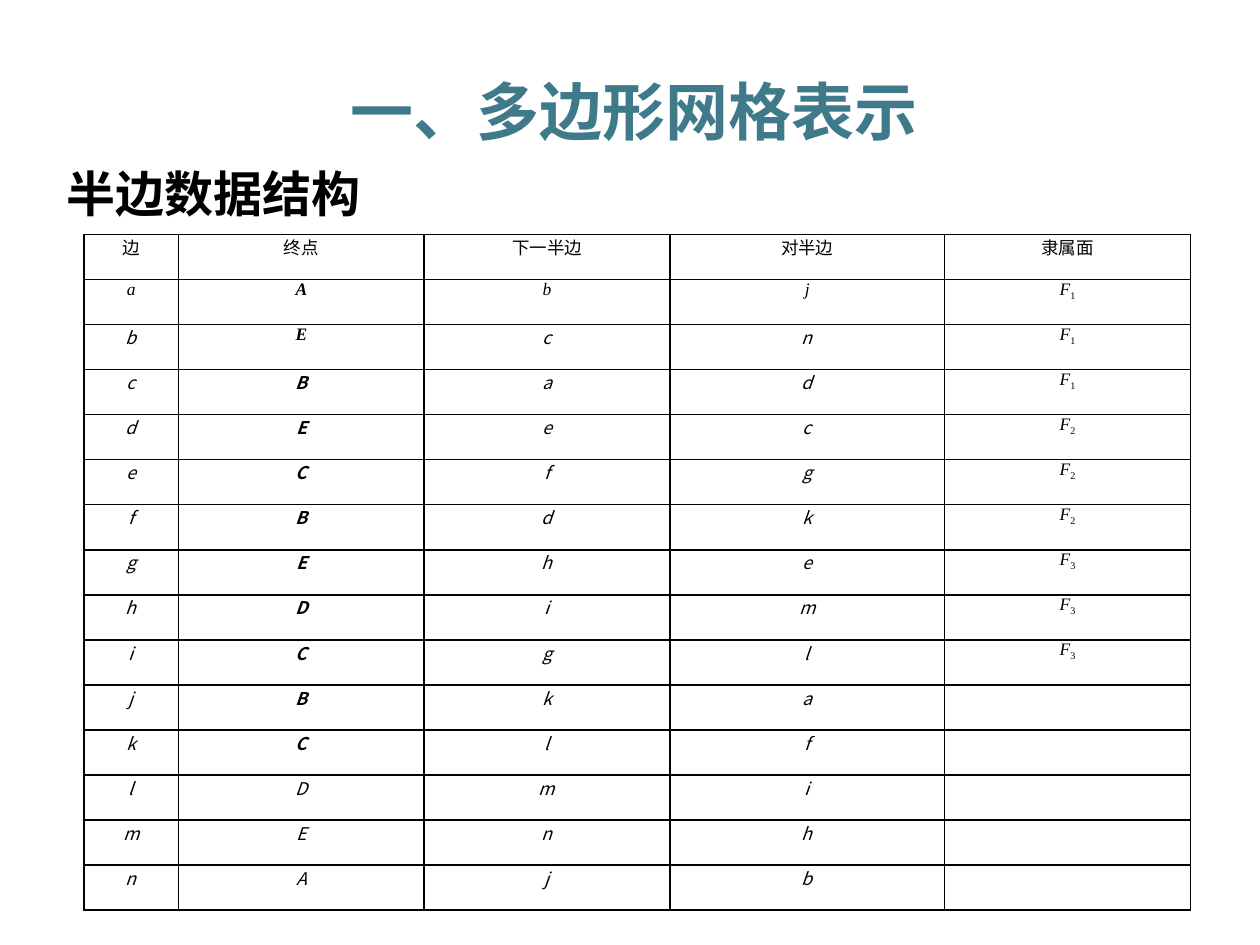
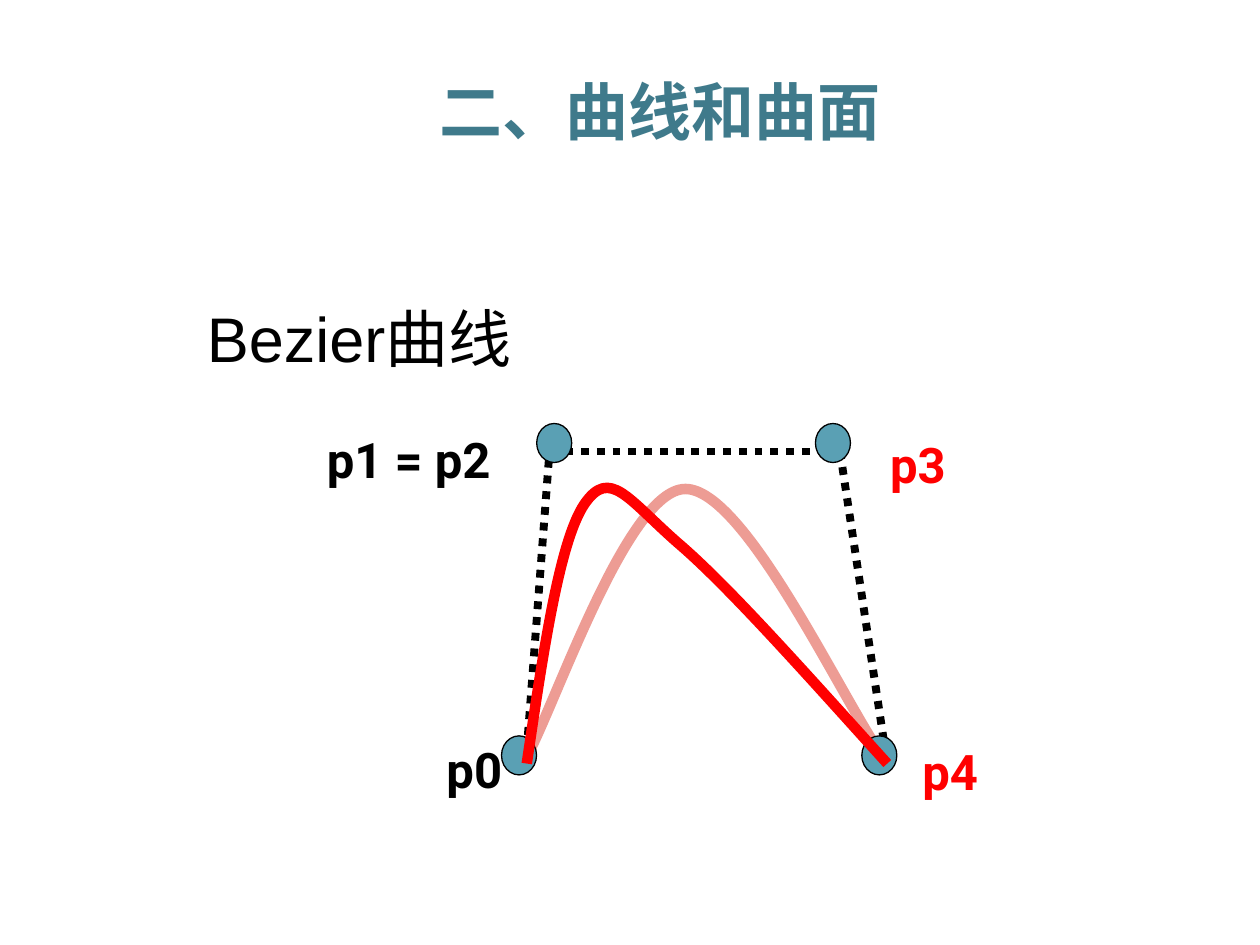
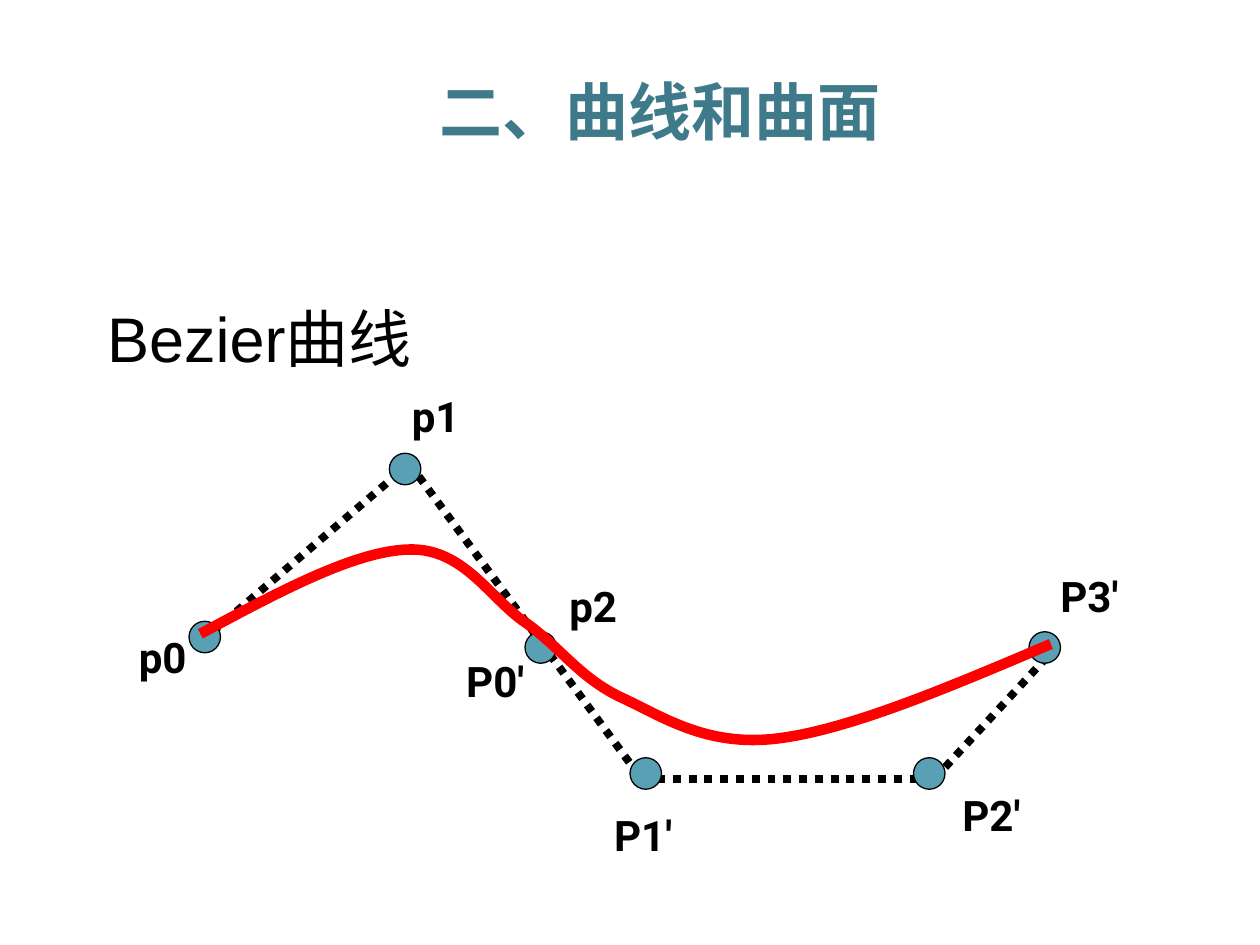
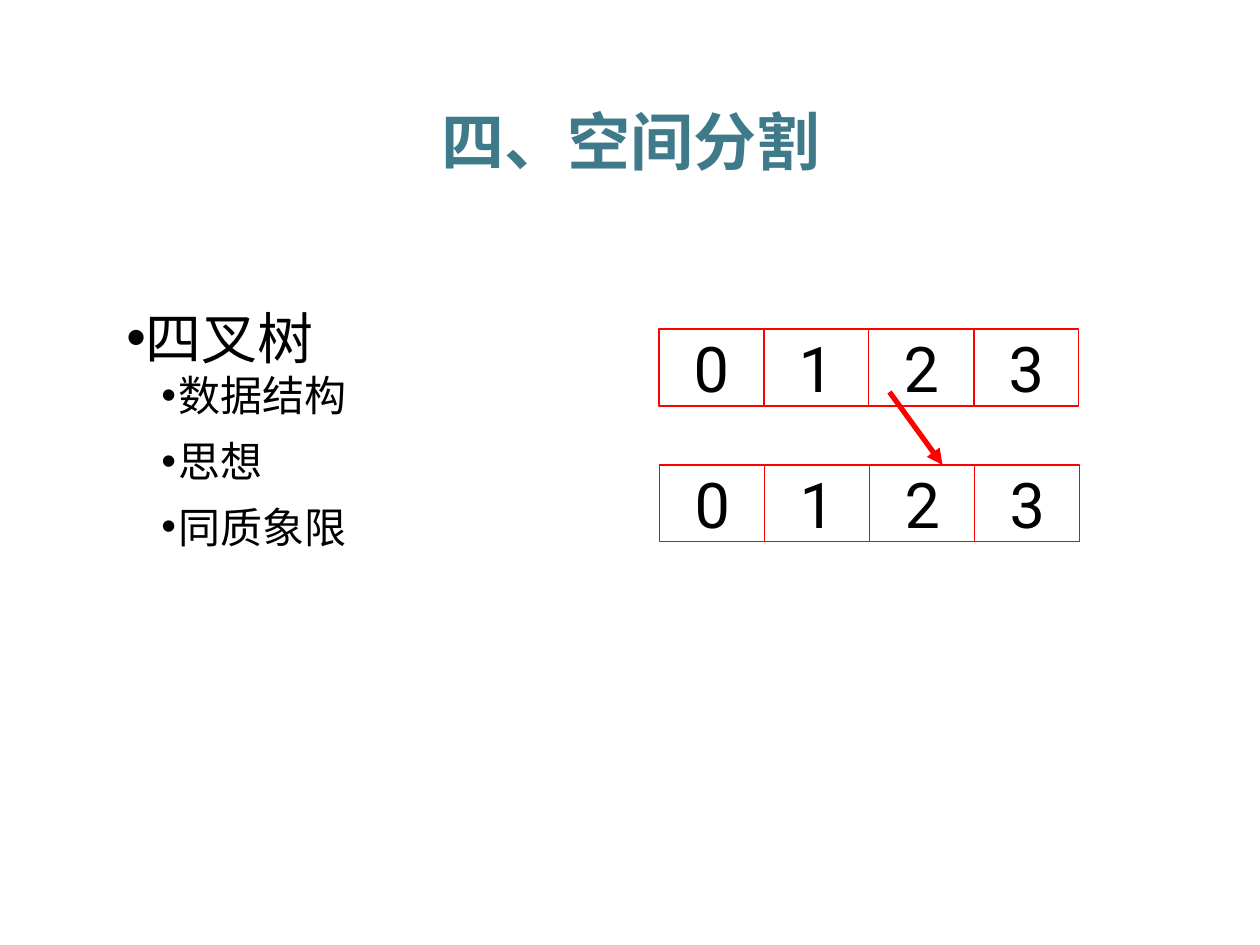
"""Build four lecture slides on meshes, Bezier curves and space partition."""
from itertools import pairwise

from lxml.etree import SubElement
from pptx import Presentation
from pptx.dml.color import RGBColor
from pptx.enum.dml import MSO_LINE
from pptx.enum.shapes import MSO_CONNECTOR, MSO_SHAPE as SHAPE
from pptx.enum.text import MSO_ANCHOR as ANCHOR, MSO_AUTO_SIZE as FIT, PP_ALIGN as ALIGN
from pptx.oxml.ns import qn
from pptx.util import Pt

COLORS = {"heading": "3F7A8B", "text": "000000", "accent": "FF0000",
          "node": "5AA0B4", "pale": "ED9C94", "grid": "080000"}
SANS, CJK, LABEL, SERIF = "Arial", "Noto Sans CJK SC", "Roboto", "Times New Roman"
HEADING_SIZE = (479, 51)
TITLE_ONLY, TITLE_AND_BODY = 5, 1

MESH_HEADING = ("一、多边形网格表示", 123, 37.5)
MESH_TITLE = ("半边数据结构", (31, 83, 578, 47.5), 28, True, ANCHOR.MIDDLE)
MESH_HEADER = ("边", "终点", "下一半边", "对半边", "隶属面")
HALF_EDGES = [
    "a A b j 1", "b E c n 1", "c B a d 1", "d E e c 2", "e C f g 2",
    "f B d k 2", "g E h e 3", "h D i m 3", "i C g l 3", "j B k a",
    "k C l f", "l D m i", "m E n h", "n A j b"]
MESH_COLUMNS = (54, 140.4, 140.4, 157, 140.4)
MESH_LEFT, MESH_TOP, MESH_ROW = 48, 134, 25.75
END_COLUMN, FACE_COLUMN, LAST_BOLD_ROW = 1, 4, 11
SERIF_CELLS = {(1, 0), (1, 1), (1, 2), (1, 3), (2, 1)}

CURVE_HEADING = ("二、曲线和曲面", 137.5, 37.5)
CURVE_SLIDES = [
    {
        "title": ("Bezier曲线", (111, 160, 458, 58), 36, False, ANCHOR.BOTTOM),
        "polygon": [(301, 429), (314, 258), (480, 258), (507, 436)],
        "curves": [("pale", [
            (299.5, 435), (315.4, 409), (357.8, 279.4), (391.7, 279.4),
            (426.2, 279.4), (482.4, 402.5), (506.2, 435)])],
        "label_size": 28,
        "labels": [
            ("p0", 253.5, 422.5, 35, "text"), ("p1 = p2", 178.5, 245.5, 110, "text"),
            ("p3", 501, 248, 47, "accent"), ("p4", 525.5, 423.5, 35, "accent")],
        "node_size": (20, 22.3),
        "nodes": [(286.6, 420.5), (306.7, 242), (466, 242), (492.5, 420.5)],
        "front_curve": [
            (301, 436.3), (310.3, 373), (319.7, 309), (334, 288), (348.5, 267),
            (358.6, 285), (387.4, 310.3), (416.2, 334.8), (461.5, 386), (507, 436.3)],
    },
    {
        "title": ("Bezier曲线", (54, 160, 458, 58), 36, False, ANCHOR.BOTTOM),
        "polygon": [(114.5, 367), (234, 265), (366.5, 445), (534, 445), (600.5, 373)],
        "curves": [],
        "label_size": 24,
        "labels": [
            ("P0'", 264.5, 374.5, 37, "text"), ("p0", 78, 361, 30, "text"),
            ("p1", 234, 223, 30, "text"), ("p2", 324, 332, 30, "text"),
            ("P1'", 349, 462.5, 37, "text"), ("P2'", 548, 451, 37, "text"),
            ("P3'", 604, 326, 37, "text")],
        "node_size": (18, 18),
        "nodes": [(108, 355), (222.5, 259), (300, 361), (360, 433), (522, 433), (588, 361)],
        "front_curve": [
            (114.5, 362.2), (159, 338.4), (203, 314.6), (234, 314), (265, 313.2),
            (280, 342), (300.2, 355.7), (320.4, 370), (330.5, 386.6), (354.2, 398.2),
            (378, 409), (403.2, 427), (444.2, 422), (485.3, 417), (543, 392.4),
            (600.5, 368)],
    },
]

SPACE_HEADING = ("四、空间分割", 121, 54.75)
QUADTREE = [("四叉树", 0, 32, 1.2), ("数据结构", 1, 24, 0.9),
            ("思想", 1, 24, 1.2), ("同质象限", 1, 24, 1.2)]
QUADTREE_FRAME = (65, 162, 291, 202)
QUADRANTS = "0123"
QUADRANT_SIZE = (60, 44)
PARENT_ROW, CHILD_ROW = (376.5, 188), (377, 265.7)
CHILD_ARROW = ((508.3, 224), (538.6, 265.7))


def rgb(name):
    return RGBColor.from_string(COLORS[name])


def points(values):
    return [Pt(value) for value in values]


def style(para, size, name, color="text", bold=False, italic=False, align=ALIGN.CENTER):
    para.alignment = align
    para.font.size, para.font.name = Pt(size), name
    para.font.bold, para.font.italic = bold, italic
    para.font.color.rgb = rgb(color)


def place(shape, frame):
    shape.left, shape.top, shape.width, shape.height = points(frame)


def set_frame(shape, anchor, wrap=True, inset=None):
    frame = shape.text_frame
    frame.auto_size, frame.word_wrap, frame.vertical_anchor = FIT.NONE, wrap, anchor
    if inset is not None:
        frame.margin_left = frame.margin_right = Pt(inset)
        frame.margin_top = frame.margin_bottom = Pt(inset)
    return frame


def add_heading(page, heading, box=None):
    text, left, top = heading
    box = box or page.shapes.add_textbox(0, 0, 0, 0)
    place(box, (left, top, *HEADING_SIZE))
    frame = set_frame(box, ANCHOR.MIDDLE)
    frame.text = text
    style(frame.paragraphs[0], 36, CJK, "heading", bold=True)


def fill_title(page, title):
    text, frame, size, bold, anchor = title
    box = page.shapes.title
    place(box, frame)
    para = set_frame(box, anchor).paragraphs[0]
    para.text = text
    para.line_spacing = 1.2
    style(para, size, SANS, bold=bold, align=ALIGN.LEFT)


def add_line(page, start, end, color, width):
    line = page.shapes.add_connector(MSO_CONNECTOR.STRAIGHT, *points((*start, *end)))
    line.line.color.rgb = rgb(color)
    line.line.width = Pt(width)
    SubElement(line.element.spPr, qn("a:effectLst"))
    return line


def add_curve(page, color, knots):
    start, *rest = [points(knot) for knot in knots]
    builder = page.shapes.build_freeform(*start)
    builder.add_line_segments(rest, close=False)
    curve = builder.convert_to_shape()
    curve.shadow.inherit = False
    curve.fill.background()
    curve.line.color.rgb = rgb(color)
    curve.line.width = Pt(6)
    steps = list(curve.element.iter(qn("a:lnTo")))
    outline = steps[0].getparent()
    for first in range(0, len(steps), 3):
        bezier = SubElement(outline, qn("a:cubicBezTo"))
        for step in steps[first:first + 3]:
            bezier.append(step[0])
            outline.remove(step)


def add_preset(page, kind, frame, line_color, fill=None):
    shape = page.shapes.add_shape(kind, *points(frame))
    shape.shadow.inherit = False
    if fill:
        shape.fill.solid()
        shape.fill.fore_color.rgb = rgb(fill)
    else:
        shape.fill.background()
    shape.line.color.rgb = rgb(line_color)
    shape.line.width = Pt(0.75)
    return shape


def add_border(cell):
    props = cell._tc.get_or_add_tcPr()
    for side in ("lnL", "lnR", "lnT", "lnB"):
        line = SubElement(props, qn(f"a:{side}"), w=str(Pt(1)))
        SubElement(SubElement(line, qn("a:solidFill")), qn("a:srgbClr"), val=COLORS["grid"])


def fill_cell(cell, text, row, column):
    add_border(cell)
    cell.fill.background()
    cell.margin_left = cell.margin_right = Pt(5)
    cell.margin_top = cell.margin_bottom = 0
    para = cell.text_frame.paragraphs[0]
    if row and column == FACE_COLUMN:
        style(para, 10, SERIF)
        if text:
            face, index = para.add_run(), para.add_run()
            face.text, index.text = "F", text
            face.font.italic = True
            index._r.get_or_add_rPr().set("baseline", "-25000")
        return
    para.text = text
    style(para, 10, SERIF if (row, column) in SERIF_CELLS else CJK, italic=row > 0,
          bold=column == END_COLUMN and 0 < row <= LAST_BOLD_ROW)


def build_mesh(deck):
    page = deck.slides.add_slide(deck.slide_layouts[TITLE_ONLY])
    fill_title(page, MESH_TITLE)
    rows = [MESH_HEADER] + [edge.split() for edge in HALF_EDGES]
    table = page.shapes.add_table(
        len(rows), len(MESH_COLUMNS),
        *points((MESH_LEFT, MESH_TOP, sum(MESH_COLUMNS), MESH_ROW * len(rows)))).table
    table.first_row = table.horz_banding = False
    for column, width in zip(table.columns, MESH_COLUMNS):
        column.width = Pt(width)
    for r, values in enumerate(rows):
        table.rows[r].height = Pt(MESH_ROW)
        for c in range(len(MESH_COLUMNS)):
            fill_cell(table.cell(r, c), values[c] if c < len(values) else "", r, c)
    add_heading(page, MESH_HEADING)


def build_curve(deck, content):
    page = deck.slides.add_slide(deck.slide_layouts[TITLE_ONLY])
    fill_title(page, content["title"])
    for start, end in pairwise(content["polygon"]):
        add_line(page, start, end, "text", 4.5).line.dash_style = MSO_LINE.ROUND_DOT
    for color, knots in content["curves"]:
        add_curve(page, color, knots)
    size = content["label_size"]
    for text, left, top, width, color in content["labels"]:
        box = page.shapes.add_textbox(*points((left, top, width, size * 1.2)))
        frame = set_frame(box, ANCHOR.MIDDLE, wrap=False, inset=0)
        frame.text = text
        style(frame.paragraphs[0], size, LABEL, color, bold=True)
    for corner in content["nodes"]:
        add_preset(page, SHAPE.OVAL, (*corner, *content["node_size"]), "text", "node")
    add_curve(page, "accent", content["front_curve"])
    add_heading(page, CURVE_HEADING)


def add_quadrants(page, corner):
    left, top = corner
    width, height = QUADRANT_SIZE
    for index, text in enumerate(QUADRANTS):
        box = add_preset(page, SHAPE.RECTANGLE, (left + index * width, top, width, height), "accent")
        frame = set_frame(box, ANCHOR.MIDDLE, inset=0)
        frame.text = text
        style(frame.paragraphs[0], 36, LABEL)


def build_space(deck):
    page = deck.slides.add_slide(deck.slide_layouts[TITLE_AND_BODY])
    add_heading(page, SPACE_HEADING, page.shapes.title)
    body = page.placeholders[1]
    place(body, QUADTREE_FRAME)
    frame = set_frame(body, ANCHOR.TOP)
    for index, (text, level, size, spacing) in enumerate(QUADTREE):
        para = frame.add_paragraph() if index else frame.paragraphs[0]
        para.text, para.level, para.line_spacing = text, level, spacing
        para.space_before = Pt(2.8 if index else 0)
        props = para._p.get_or_add_pPr()
        props.set("marL", str(Pt(10 + 20 * level)))
        props.set("indent", str(Pt(-10)))
        SubElement(props, qn("a:buChar"), char="•")
        style(para, size, SANS, align=ALIGN.LEFT)
    add_quadrants(page, PARENT_ROW)
    arrow = add_line(page, *CHILD_ARROW, "accent", 3)
    SubElement(arrow.element.spPr.find(qn("a:ln")), qn("a:tailEnd"), type="triangle")
    add_quadrants(page, CHILD_ROW)


def set_east_asian_font(page):
    for latin in list(page.element.iter(qn("a:latin"))):
        east_asian = SubElement(latin.getparent(), qn("a:ea"), typeface=CJK)
        latin.addnext(east_asian)


def main():
    deck = Presentation()
    deck.slide_width, deck.slide_height = Pt(720), Pt(540)
    build_mesh(deck)
    for content in CURVE_SLIDES:
        build_curve(deck, content)
    build_space(deck)
    for page in deck.slides:
        set_east_asian_font(page)
    deck.save("out.pptx")


if __name__ == "__main__":
    main()
